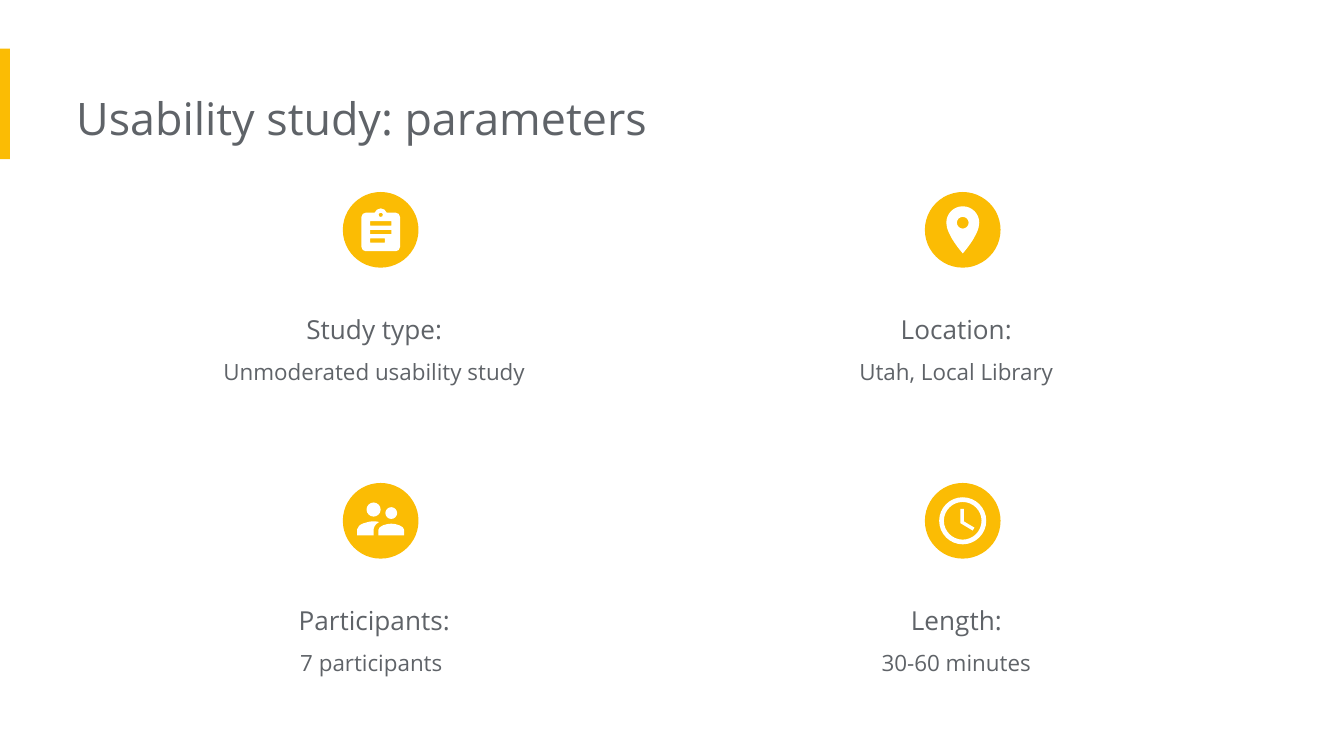
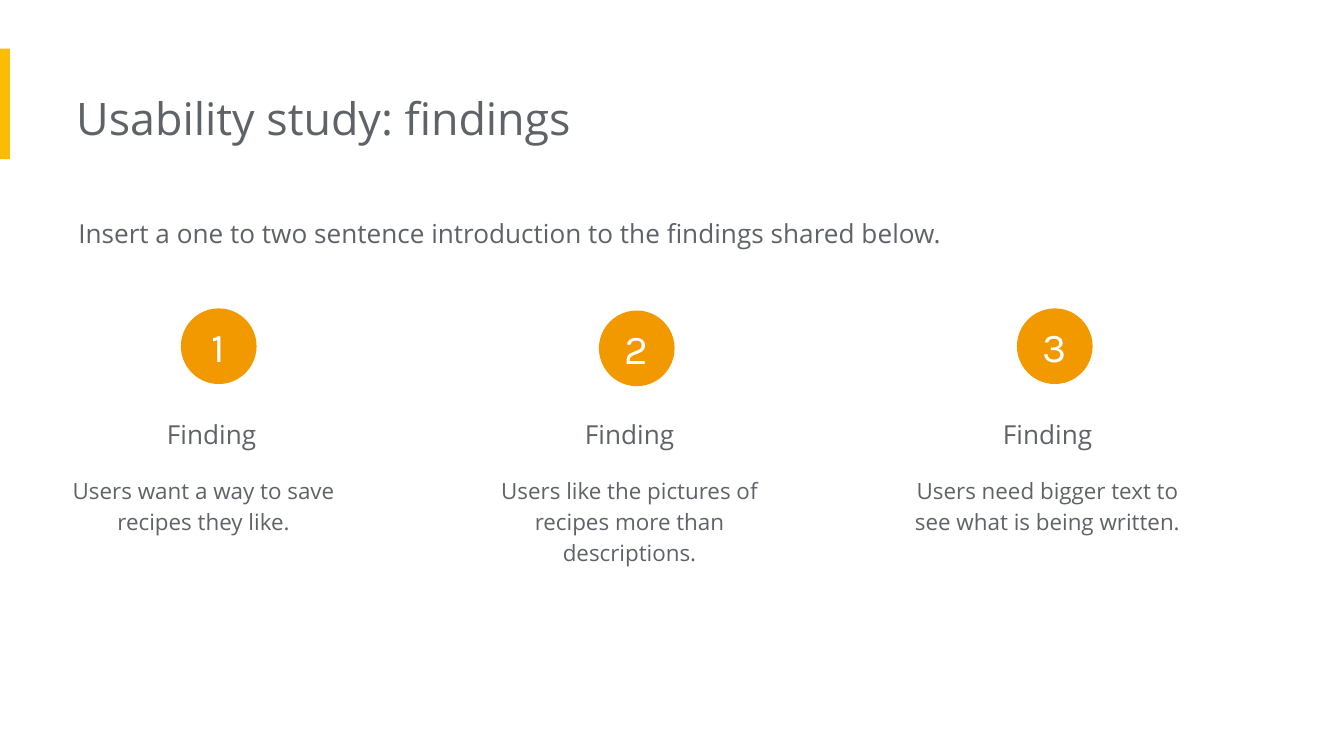
from pptx import Presentation
from pptx.dml.color import RGBColor
from pptx.enum.shapes import MSO_SHAPE
from pptx.enum.text import MSO_ANCHOR, MSO_AUTO_SIZE, PP_ALIGN
from pptx.oxml.ns import qn
from pptx.util import Cm, Pt

YELLOW = "FBBC04"
ORANGE = "F29900"
GREY = "5F6368"
WHITE = "FFFFFF"
TEXT_FONT = "Open Sans"
NUMBER_FONT = "Karla"

DISC_SIZE = 1.43
GRID_UNITS = 100


def circle(x, y, radius):
    k = 0.55 * radius
    left, top, right, bottom = x - radius, y - radius, x + radius, y + radius
    return [(x, top), (x + k, top, right, y - k, right, y),
            (right, y + k, x + k, bottom, x, bottom),
            (x - k, bottom, left, y + k, left, y),
            (left, y - k, x - k, top, x, top)]


def box(left, top, right, bottom):
    return [(left, top), (right, top), (right, bottom), (left, bottom)]


CLIPBOARD = [
    [(19, 3), (14.82, 3), (14.4, 1.84, 13.3, 1, 12, 1), (10.7, 1, 9.6, 1.84, 9.18, 3),
     (5, 3), (3.9, 3, 3, 3.9, 3, 5), (3, 19), (3, 20.1, 3.9, 21, 5, 21),
     (19, 21), (20.1, 21, 21, 20.1, 21, 19), (21, 5), (21, 3.9, 20.1, 3, 19, 3)],
    circle(12, 4, 1),
    box(7, 15, 14, 17),
    box(7, 11, 17, 13),
    box(7, 7, 17, 9),
]
MAP_PIN = [
    [(12, 2), (8.13, 2, 5, 5.13, 5, 9), (5, 14.25, 12, 22, 12, 22),
     (12, 22, 19, 14.25, 19, 9), (19, 5.13, 15.87, 2, 12, 2)],
    circle(12, 9, 2.5),
]
PEOPLE = [
    circle(16.5, 9.5, 2.5),
    circle(9, 8, 3),
    [(16.5, 14), (14.67, 14, 11, 14.92, 11, 16.75), (11, 19), (22, 19),
     (22, 16.75), (22, 14.92, 18.33, 14, 16.5, 14)],
    [(9, 13), (6.67, 13, 2, 14.17, 2, 16.5), (2, 19), (9, 19), (9, 16.75),
     (9, 15.9, 9.33, 14.41, 11.37, 13.28), (10.5, 13.1, 9.66, 13, 9, 13)],
]
CLOCK = [
    circle(12, 12, 10),
    circle(12, 12, 8),
    [(12.5, 7), (11, 7), (11, 13), (16.25, 16.15), (17, 14.92), (12.5, 12.25)],
]

PARAMETERS = [
    ("Study type:", "Unmoderated usability study", CLIPBOARD, 11, 0.81),
    ("Location:", "Utah, Local Library", MAP_PIN, 12, 0.89),
    ("Participants:", "7 participants ", PEOPLE, 12.8, 0.89),
    ("Length:", "30-60 minutes", CLOCK, 12, 0.89),
]
FINDINGS = [
    ("Users want a way to save recipes they like.", 1.22, 5.83, 1.63),
    ("Users like the pictures of recipes more than descriptions.", 9.27, 5.87, 2.21),
    ("Users need bigger text to see what is being written.", 17.17, 5.83, 1.63),
]


def color(hex_value):
    return RGBColor.from_string(hex_value)


def paint(shape, fill):
    shape.shadow.inherit = False
    shape.fill.solid()
    shape.fill.fore_color.rgb = color(fill)
    shape.line.fill.background()


def style(paragraph, size, alignment=PP_ALIGN.LEFT, spacing=1.0, font=TEXT_FONT, fill=GREY):
    paragraph.alignment = alignment
    paragraph.line_spacing = spacing
    paragraph.font.size = Pt(size)
    paragraph.font.name = font
    paragraph.font.color.rgb = color(fill)


def set_frame(frame):
    frame.word_wrap = True
    frame.auto_size = MSO_AUTO_SIZE.SHAPE_TO_FIT_TEXT
    frame.vertical_anchor = MSO_ANCHOR.TOP
    frame.margin_left = 0
    frame.margin_top = frame.margin_right = frame.margin_bottom = Cm(0.25)


def add_text(slide, left, top, width, height, lines, alignment, spacing):
    shape = slide.shapes.add_textbox(Cm(left), Cm(top), Cm(width), Cm(height))
    frame = shape.text_frame
    set_frame(frame)
    for index, (text, size) in enumerate(lines):
        paragraph = frame.add_paragraph() if index else frame.paragraphs[0]
        paragraph.text = text
        style(paragraph, size, alignment, spacing)


def add_disc(slide, left, top, fill):
    disc = slide.shapes.add_shape(MSO_SHAPE.OVAL, Cm(left), Cm(top), Cm(DISC_SIZE), Cm(DISC_SIZE))
    paint(disc, fill)
    return disc


def add_number_disc(slide, left, top, number):
    frame = add_disc(slide, left, top, ORANGE).text_frame
    frame.margin_left = frame.margin_top = frame.margin_right = frame.margin_bottom = 0
    frame.vertical_anchor = MSO_ANCHOR.MIDDLE
    frame.text = str(number)
    style(frame.paragraphs[0], 22, PP_ALIGN.CENTER, font=NUMBER_FONT, fill=WHITE)


def grid_points(segments):
    return [(segment[index] * GRID_UNITS, segment[index + 1] * GRID_UNITS)
            for segment in segments for index in range(0, len(segment), 2)]


def bend_curves(icon, contours):
    outline = next(icon.element.iter(qn("a:path")))
    lines = iter(outline.findall(qn("a:lnTo")))
    for contour in contours:
        for segment in contour[1:]:
            curve = next(lines)
            if len(segment) == 6:
                curve.tag = qn("a:cubicBezTo")
                for line in (next(lines), next(lines)):
                    curve.append(line[0])
                    outline.remove(line)


def add_icon(slide, center_x, center_y, contours, middle, size):
    unit = size / 20
    start_x, start_y = grid_points(contours[0])[0]
    builder = slide.shapes.build_freeform(start_x, start_y, scale=Cm(unit) / GRID_UNITS)
    for index, contour in enumerate(contours):
        points = grid_points(contour)
        if index:
            builder.move_to(*points[0])
        builder.add_line_segments(points[1:], close=True)
    icon = builder.convert_to_shape(Cm(center_x - 12 * unit), Cm(center_y - middle * unit))
    bend_curves(icon, contours)
    paint(icon, WHITE)


def add_layout_band(slide):
    band = slide.shapes.add_shape(MSO_SHAPE.RECTANGLE, 0, Cm(0.92), Cm(0.19), Cm(2.09))
    paint(band, YELLOW)
    band.element.nvSpPr.cNvPr.set("id", "20")
    slide.slide_layout.shapes.element.append(band.element)


def add_titled_slide(presentation, text):
    slide = presentation.slides.add_slide(presentation.slide_layouts[5])
    title = slide.shapes.title
    title.left, title.top, title.width, title.height = Cm(1.44), Cm(1.46), Cm(17.09), Cm(1.55)
    set_frame(title.text_frame)
    title.text_frame.text = text
    style(title.text_frame.paragraphs[0], 24)
    return slide


def add_parameters_slide(presentation):
    slide = add_titled_slide(presentation, "Usability study: parameters")
    for index, (heading, value, contours, middle, size) in enumerate(PARAMETERS):
        row, column = divmod(index, 2)
        x, y = column * 11, row * 5.5
        add_text(slide, 2.41 + x, 5.37 + y, 9.58, 1.93, [(heading, 14), (value, 12)],
                 PP_ALIGN.CENTER, 1.5)
        left, top = 6.48 + x, 3.63 + y
        add_disc(slide, left, top, YELLOW)
        add_icon(slide, left + DISC_SIZE / 2, top + DISC_SIZE / 2, contours, middle, size)
    return slide


def add_findings_slide(presentation):
    slide = add_titled_slide(presentation, "Usability study: findings")
    introduction = "Insert a one to two sentence introduction to the findings shared below."
    add_text(slide, 1.48, 3.77, 18.03, 1.12, [(introduction, 14)], PP_ALIGN.LEFT, 1.15)
    for index, (description, left, disc_top, height) in enumerate(FINDINGS):
        x = index * 7.9
        add_number_disc(slide, 3.42 + x, disc_top, index + 1)
        add_text(slide, 1.52 + x, 7.37, 5.21, 1.12, [("Finding", 14)], PP_ALIGN.CENTER, 1.5)
        add_text(slide, left, 8.69, 5.51, height, [(description, 12)], PP_ALIGN.CENTER, 1.15)


def main():
    presentation = Presentation()
    presentation.slide_width = Cm(25.4)
    presentation.slide_height = Cm(14.29)
    parameters_slide = add_parameters_slide(presentation)
    add_layout_band(parameters_slide)
    add_findings_slide(presentation)
    presentation.save("out.pptx")


if __name__ == "__main__":
    main()
